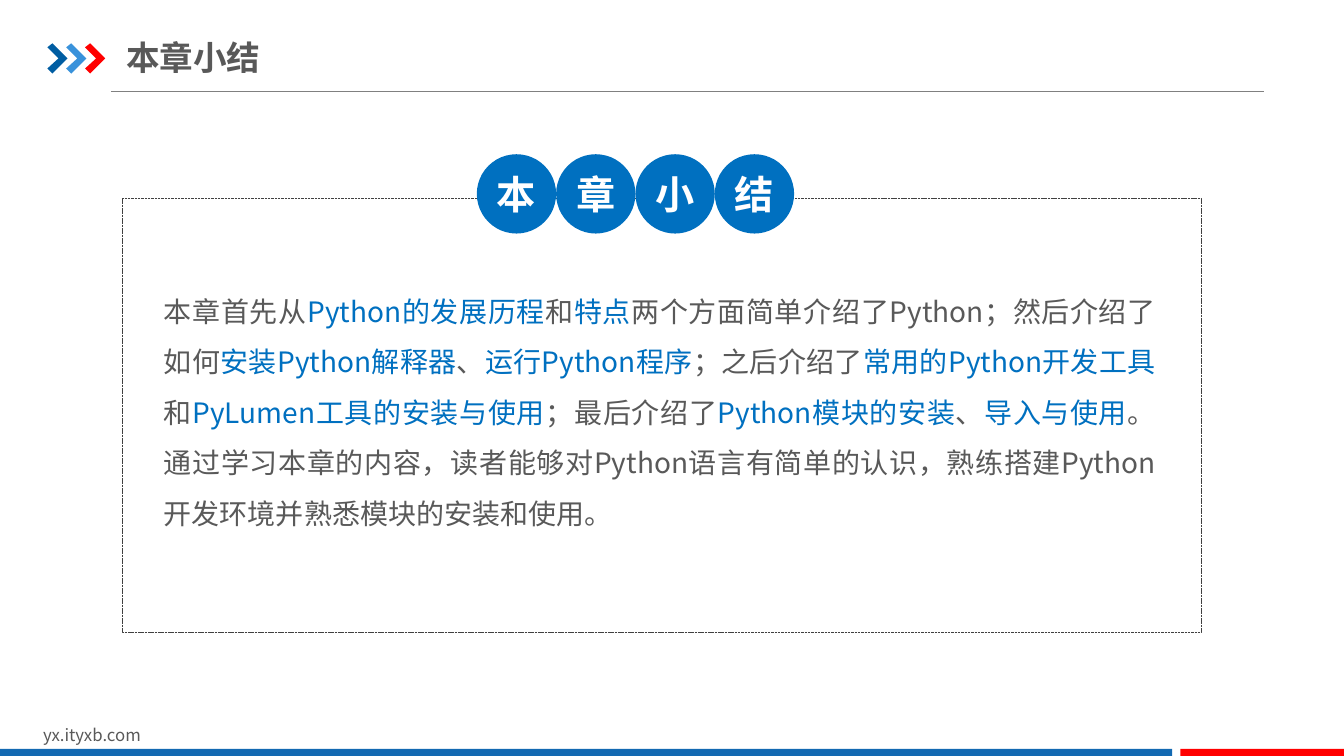
from dataclasses import dataclass

from pptx import Presentation
from pptx.dml.color import RGBColor
from pptx.enum.dml import MSO_LINE_DASH_STYLE as Dash
from pptx.enum.shapes import MSO_CONNECTOR as Connector, MSO_SHAPE as Preset
from pptx.enum.text import MSO_ANCHOR as Anchor, MSO_AUTO_SIZE as AutoSize, PP_ALIGN as Align
from pptx.oxml.ns import qn
from pptx.util import Inches, Pt


@dataclass(frozen=True)
class Theme:
    font: str = "Noto Sans CJK SC"
    text: str = "595959"
    accent: str = "0070C0"
    white: str = "FFFFFF"
    rule: str = "808080"
    frame: str = "404040"
    bar: str = "1369B2"
    red: str = "FF0000"
    chevrons: tuple = ("005DA2", "3992DB", "FF0000")
    title_size: int = 24
    body_size: int = 20
    badge_size: int = 28
    footer_size: int = 12


THEME = Theme()
CELL = Inches(0.1)  # one column or row of the grid
COLUMNS, ROWS = 133.33, 75

# Highlighted phrases stand between bars.
SUMMARY = (
    "本章首先从|Python的发展历程|和|特点|两个方面简单介绍了Python；然后介绍了如何"
    "|安装Python解释器|、|运行Python程序|；之后介绍了|常用的Python开发工具|和"
    "|PyLumen工具的安装与使用|；最后介绍了|Python模块的安装|、|导入与使用|"
    "。通过学习本章的内容，读者能够对Python语言有简单的认识，"
    "熟练搭建Python开发环境并熟悉模块的安装和使用。"
)


def grid(*cells):
    return [round(cell * CELL) for cell in cells]


def place(shape, left, top, width, height):
    shape.left, shape.top, shape.width, shape.height = grid(left, top, width, height)


def format_run(run, size, color, bold=False):
    run.font.size = Pt(size)
    run.font.bold = bold
    run.font.color.rgb = RGBColor.from_string(color)
    run.font.name = THEME.font
    east_asian = run.font._element.makeelement(qn("a:ea"), {"typeface": THEME.font})
    run.font._element.append(east_asian)


def set_insets(text_frame, horizontal, vertical):
    text_frame.margin_left = text_frame.margin_right = Inches(horizontal)
    text_frame.margin_top = text_frame.margin_bottom = Inches(vertical)


def fill_plain(shape, color):
    shape.shadow.inherit = False
    shape.fill.solid()
    shape.fill.fore_color.rgb = RGBColor.from_string(color)
    shape.line.fill.background()


def add_filled(slide, preset, color, *cells):
    shape = slide.shapes.add_shape(preset, *grid(*cells))
    fill_plain(shape, color)
    return shape


def add_chevron(slide, left, top, color):
    outline = [(0, 0.4), (0.5, 0), (2, 1.5), (0.5, 3), (0, 2.5), (1.1, 1.5)]
    points = [grid(left + x, top + y) for x, y in outline]
    builder = slide.shapes.build_freeform(*points[0])
    builder.add_line_segments(points[1:], close=True)
    fill_plain(builder.convert_to_shape(), color)


def add_rule(slide, left, right, row):
    rule = slide.shapes.add_connector(Connector.STRAIGHT, *grid(left, row, right, row))
    rule.line.color.rgb = RGBColor.from_string(THEME.rule)
    rule.line.width = Pt(0.75)
    properties = rule._element.spPr
    properties.append(properties.makeelement(qn("a:effectLst"), {}))


def add_frame(slide, *cells):
    frame = slide.shapes.add_shape(Preset.ROUNDED_RECTANGLE, *grid(*cells))
    frame.adjustments[0] = 0
    frame.shadow.inherit = False
    frame.fill.background()
    frame.line.color.rgb = RGBColor.from_string(THEME.frame)
    frame.line.width = Pt(0.25)
    frame.line.dash_style = Dash.SQUARE_DOT


def add_badges(slide, word, left, top, size):
    """Set one character of the word in each of a row of touching circles."""
    for index, character in enumerate(word):
        badge = add_filled(slide, Preset.OVAL, THEME.accent, left + index * size, top, size, size)
        text_frame = badge.text_frame
        text_frame.text = character
        text_frame.vertical_anchor = Anchor.MIDDLE
        set_insets(text_frame, 0, 0)
        paragraph = text_frame.paragraphs[0]
        paragraph.alignment = Align.CENTER
        format_run(paragraph.runs[0], THEME.badge_size, THEME.white, bold=True)


def set_title(slide, text):
    title = slide.shapes.title
    place(title, 12.5, 2.9, 62, 5.5)
    text_frame = title.text_frame
    text_frame.text = text
    text_frame.vertical_anchor = Anchor.MIDDLE
    text_frame.auto_size = AutoSize.NONE
    set_insets(text_frame, 0, 0.07)
    paragraph = text_frame.paragraphs[0]
    paragraph.alignment = Align.LEFT
    format_run(paragraph.runs[0], THEME.title_size, THEME.text, bold=True)


def set_summary(slide, marked_text):
    body = slide.placeholders[1]
    place(body, 16.25, 27.55, 98.4, 25.2)
    text_frame = body.text_frame
    text_frame.auto_size = AutoSize.NONE
    text_frame.vertical_anchor = Anchor.TOP
    set_insets(text_frame, 0, 0)
    paragraph = text_frame.paragraphs[0]
    paragraph.alignment = Align.JUSTIFY
    paragraph.line_spacing = 1.5
    paragraph.space_before = Pt(0)
    properties = paragraph._element.get_or_add_pPr()
    properties.set("marL", "0")
    properties.set("indent", "0")
    properties.append(properties.makeelement(qn("a:buNone"), {}))
    for index, phrase in enumerate(marked_text.split("|")):
        run = paragraph.add_run()
        run.text = phrase
        format_run(run, THEME.body_size, THEME.accent if index % 2 else THEME.text)


def add_footer(slide, address):
    box = slide.shapes.add_textbox(*grid(3.3, 71.4, 31.8, 3))
    box.text_frame.word_wrap = True
    box.text_frame.text = address
    format_run(box.text_frame.paragraphs[0].runs[0], THEME.footer_size, THEME.text)
    bar_top, bar_end, red_start = 74.3, 116.3, 117.1
    height = ROWS - bar_top
    add_filled(slide, Preset.RECTANGLE, THEME.bar, 0, bar_top, bar_end, height)
    add_filled(slide, Preset.RECTANGLE, THEME.red, red_start, bar_top, COLUMNS - red_start, height)


def main():
    presentation = Presentation()
    presentation.slide_width, presentation.slide_height = grid(COLUMNS, ROWS)
    slide = presentation.slides.add_slide(presentation.slide_layouts[1])
    add_rule(slide, 11, 125.4, 9.1)
    for index, color in enumerate(THEME.chevrons):
        add_chevron(slide, 4.7 + index * 1.87, 4.3, color)
    add_footer(slide, "yx.ityxb.com")
    set_title(slide, "本章小结")
    add_frame(slide, 12.1, 19.7, 107.1, 43)
    set_summary(slide, SUMMARY)
    add_badges(slide, "本章小结", 47.3, 15.3, 7.87)
    presentation.save("out.pptx")


if __name__ == "__main__":
    main()
